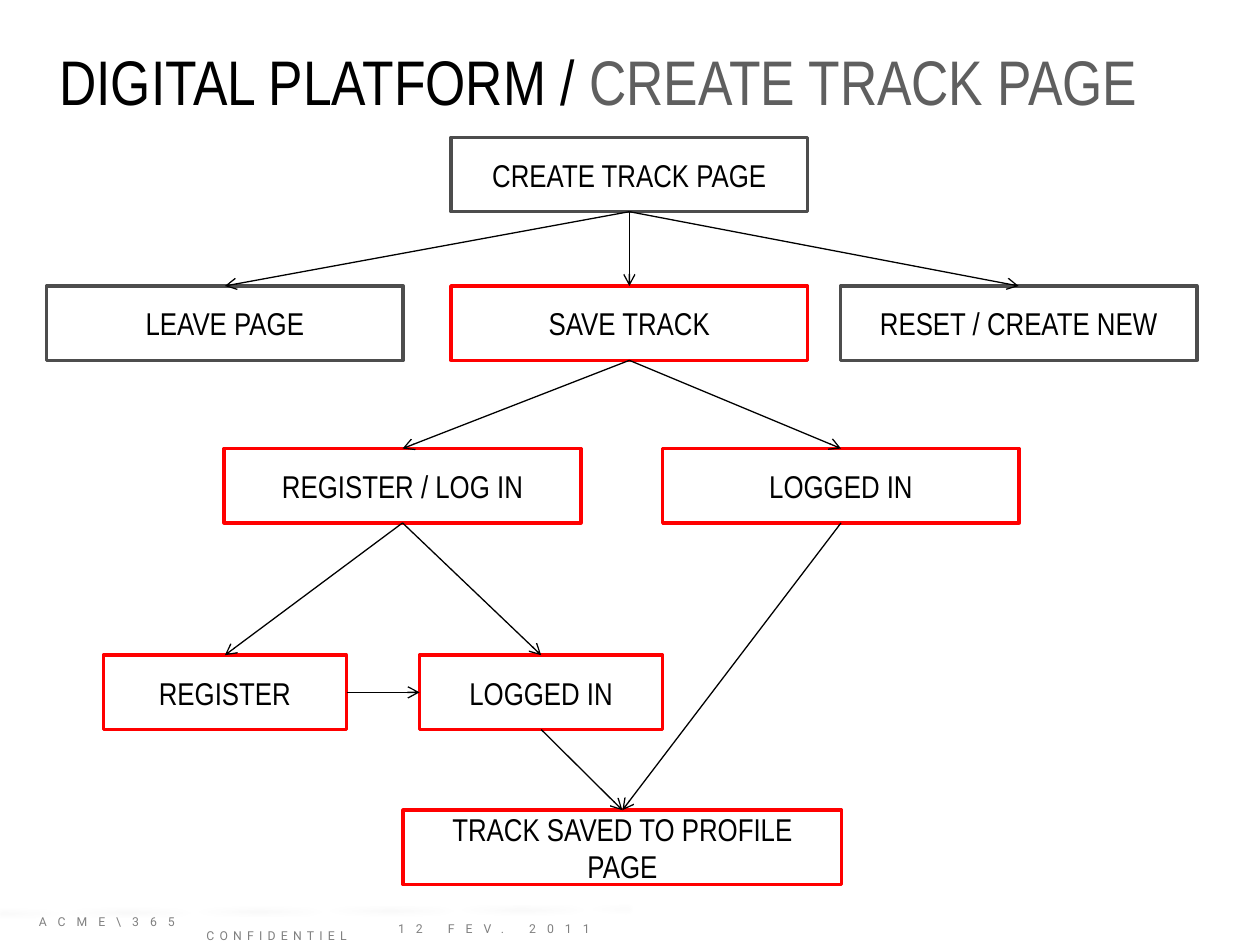
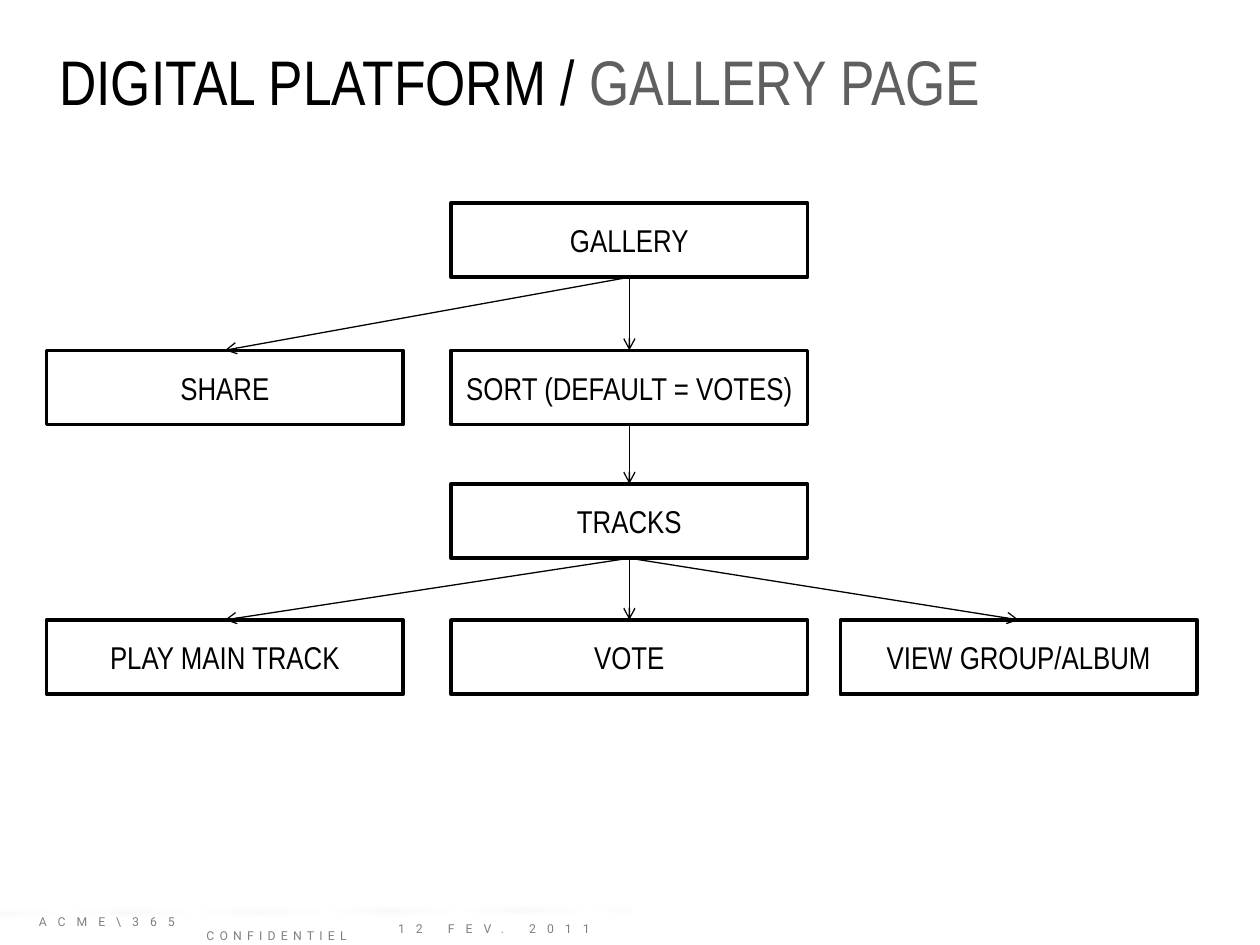
from dataclasses import dataclass
from typing import Any

from lxml import etree
from pptx import Presentation
from pptx.dml.color import RGBColor
from pptx.enum.shapes import MSO_CONNECTOR, MSO_SHAPE
from pptx.enum.text import MSO_ANCHOR, MSO_AUTO_SIZE, PP_ALIGN
from pptx.oxml import parse_xml
from pptx.oxml.ns import nsdecls, qn
from pptx.util import Inches, Pt

RECT = MSO_SHAPE.RECTANGLE
STRAIGHT = MSO_CONNECTOR.STRAIGHT
TOP, MIDDLE = MSO_ANCHOR.TOP, MSO_ANCHOR.MIDDLE
LEFT, CENTER, RIGHT = PP_ALIGN.LEFT, PP_ALIGN.CENTER, PP_ALIGN.RIGHT
NO_FIT = MSO_AUTO_SIZE.NONE

BLACK, WHITE, RED = "000000", "FFFFFF", "FF0000"
TITLE_GRAY, BOX_GRAY, FOOTER_GRAY = "5F5F5F", "4D4D4D", "808080"
TITLE_FONT = {"name": "Arial Narrow", "size": Pt(36), "bold": False}
BOX_FONT = {"name": "Arial Narrow", "size": Pt(18)}
FOOTER_FONT = {"name": "Roboto", "size": Pt(7)}

COL_LEFT, COL_MID, COL_RIGHT = 0.37, 3.58, 6.67
BOX_W, SMALL_W, WIDE_W, BOX_H = 2.83, 1.93, 3.48, 0.59
SITE_TOP, SITE_LEFT, SITE_BOTTOM, SITE_RIGHT = range(4)


@dataclass
class Box:
    key: str
    text: str
    x: float
    y: float
    color: str = BLACK
    w: float = BOX_W


@dataclass
class Link:
    start: str
    end: str
    start_site: int = SITE_BOTTOM
    end_site: int = SITE_TOP


@dataclass
class Flow:
    title: str
    boxes: list[Box]
    links: list[Link]


FLOWS = [
    Flow(
        "CREATE TRACK PAGE",
        [
            Box("create", "CREATE TRACK PAGE", COL_MID, 1.09, BOX_GRAY),
            Box("leave", "LEAVE PAGE", COL_LEFT, 2.27, BOX_GRAY),
            Box("reset", "RESET / CREATE NEW", COL_RIGHT, 2.27, BOX_GRAY),
            Box("save", "SAVE TRACK", COL_MID, 2.27, RED),
            Box("access", "REGISTER / LOG IN", 1.78, 3.56, RED),
            Box("member", "LOGGED IN", 5.26, 3.56, RED),
            Box("logged", "LOGGED IN", 3.33, 5.2, RED, SMALL_W),
            Box("register", "REGISTER", 0.82, 5.2, RED, SMALL_W),
            Box("saved", "TRACK SAVED TO PROFILE PAGE", 3.2, 6.43, RED, WIDE_W),
        ],
        [
            Link("access", "register"),
            Link("register", "logged", SITE_RIGHT, SITE_LEFT),
            Link("access", "logged"),
            Link("logged", "saved"),
            Link("member", "saved"),
            Link("save", "access"),
            Link("save", "member"),
            Link("create", "leave"),
            Link("create", "save"),
            Link("create", "reset"),
        ],
    ),
    Flow(
        "GALLERY PAGE",
        [
            Box("gallery", "GALLERY", COL_MID, 1.61),
            Box("tracks", "TRACKS", COL_MID, 3.84),
            Box("play", "PLAY MAIN TRACK", COL_LEFT, 4.92),
            Box("sort", "SORT (DEFAULT = VOTES)", COL_MID, 2.78),
            Box("view", "VIEW GROUP/ALBUM", COL_RIGHT, 4.92),
            Box("vote", "VOTE", COL_MID, 4.92),
            Box("share", "SHARE", COL_LEFT, 2.78),
        ],
        [
            Link("gallery", "sort"),
            Link("sort", "tracks"),
            Link("tracks", "vote"),
            Link("tracks", "play"),
            Link("tracks", "view"),
            Link("gallery", "share"),
        ],
    ),
]


def rgb(value: str) -> RGBColor:
    return RGBColor.from_string(value)


def set_attrs(obj: Any, values: dict[str, Any]) -> None:
    for name, value in values.items():
        setattr(obj, name, value)


def place(sp: Any, x: float, y: float, w: float, h: float) -> None:
    set_attrs(sp, {"left": Inches(x), "top": Inches(y),
                   "width": Inches(w), "height": Inches(h)})


def add_run(p: Any, text: str, font: dict[str, Any], color: str,
            spacing: float = 0) -> None:
    r = p.add_run()
    r.text = text
    set_attrs(r.font, font)
    r.font.color.rgb = rgb(color)
    if spacing:
        r._r.get_or_add_rPr().set("spc", str(round(spacing * 100)))


def add_line(slide: Any, color: str, width: float,
             ends: tuple[float, float, float, float] = (0, 0, 0, 0)) -> Any:
    cxn = slide.shapes.add_connector(STRAIGHT, *(Inches(v) for v in ends))
    cxn.line.color.rgb = rgb(color)
    cxn.line.width = Pt(width)
    etree.SubElement(cxn._element.spPr, qn("a:effectLst"))
    return cxn


def add_title(slide: Any, text: str) -> None:
    sp = slide.shapes.title
    place(sp, COL_LEFT, 0.29, 9.13, 0.71)
    tf = sp.text_frame
    set_attrs(tf, {"word_wrap": True, "auto_size": NO_FIT, "vertical_anchor": TOP})
    p = tf.paragraphs[0]
    p.alignment = LEFT
    add_run(p, "DIGITAL PLATFORM / ", TITLE_FONT, BLACK)
    add_run(p, text, TITLE_FONT, TITLE_GRAY)


def add_footer_box(slide: Any, x: float, w: float) -> Any:
    tf = slide.shapes.add_textbox(Inches(x), Inches(7.17), Inches(w), Inches(0.4)).text_frame
    set_attrs(tf, {"word_wrap": True, "vertical_anchor": MIDDLE})
    return tf


def add_footer(slide: Any) -> None:
    tf = add_footer_box(slide, 2.79, 2.21)
    tf.margin_right = Inches(0.32)
    p = tf.paragraphs[0]
    p.alignment = RIGHT
    add_run(p, "12 FEV. 2011", FOOTER_FONT, FOOTER_GRAY, 6.3)

    tf = add_footer_box(slide, 0.21, 4.79)
    add_run(tf.paragraphs[0], "ACME\\365", FOOTER_FONT, FOOTER_GRAY, 6.3)
    p = tf.add_paragraph()
    p._p.get_or_add_pPr().set("marL", str(Inches(1.33)))
    add_run(p, "CONFIDENTIEL", FOOTER_FONT, FOOTER_GRAY, 3)

    cxn = add_line(slide, WHITE, 0.25, (0, 7.22, 5, 7.19))
    color = cxn._element.spPr.find(".//" + qn("a:srgbClr"))
    etree.SubElement(color, qn("a:alpha"), val="46000")
    cxn._element.spPr.find(qn("a:effectLst")).append(parse_xml(
        f'<a:outerShdw {nsdecls("a")} blurRad="{Pt(3.1)}" dist="{Pt(1.6)}" '
        'dir="5400000" rotWithShape="0"><a:srgbClr val="000000">'
        '<a:alpha val="38000"/></a:srgbClr></a:outerShdw>'))


def add_box(slide: Any, box: Box) -> Any:
    sp = slide.shapes.add_shape(RECT, 0, 0, 0, 0)
    place(sp, box.x, box.y, box.w, BOX_H)
    sp.shadow.inherit = False
    sp.fill.solid()
    sp.fill.fore_color.rgb = rgb(WHITE)
    sp.line.color.rgb = rgb(box.color)
    sp.line.width = Pt(2)
    tf = sp.text_frame
    set_attrs(tf, {"word_wrap": True, "vertical_anchor": MIDDLE})
    p = tf.paragraphs[0]
    p.alignment = CENTER
    add_run(p, box.text, BOX_FONT, BLACK)
    return sp


def add_link(slide: Any, link: Link, shapes: dict[str, Any]) -> None:
    cxn = add_line(slide, BLACK, 0.75)
    cxn.begin_connect(shapes[link.start], link.start_site)
    cxn.end_connect(shapes[link.end], link.end_site)
    etree.SubElement(cxn.line._get_or_add_ln(), qn("a:tailEnd"), type="arrow")


def add_flow(prs: Any, flow: Flow) -> None:
    slide = prs.slides.add_slide(prs.slide_layouts.get_by_name("Title Only"))
    add_footer(slide)
    add_title(slide, flow.title)
    shapes = {box.key: add_box(slide, box) for box in flow.boxes}
    for link in flow.links:
        add_link(slide, link, shapes)


prs = Presentation()
prs.slide_width, prs.slide_height = Inches(10), Inches(7.5)
background = prs.slide_master.background.fill
background.solid()
background.fore_color.rgb = rgb(WHITE)
for flow in FLOWS:
    add_flow(prs, flow)
prs.save("out.pptx")
